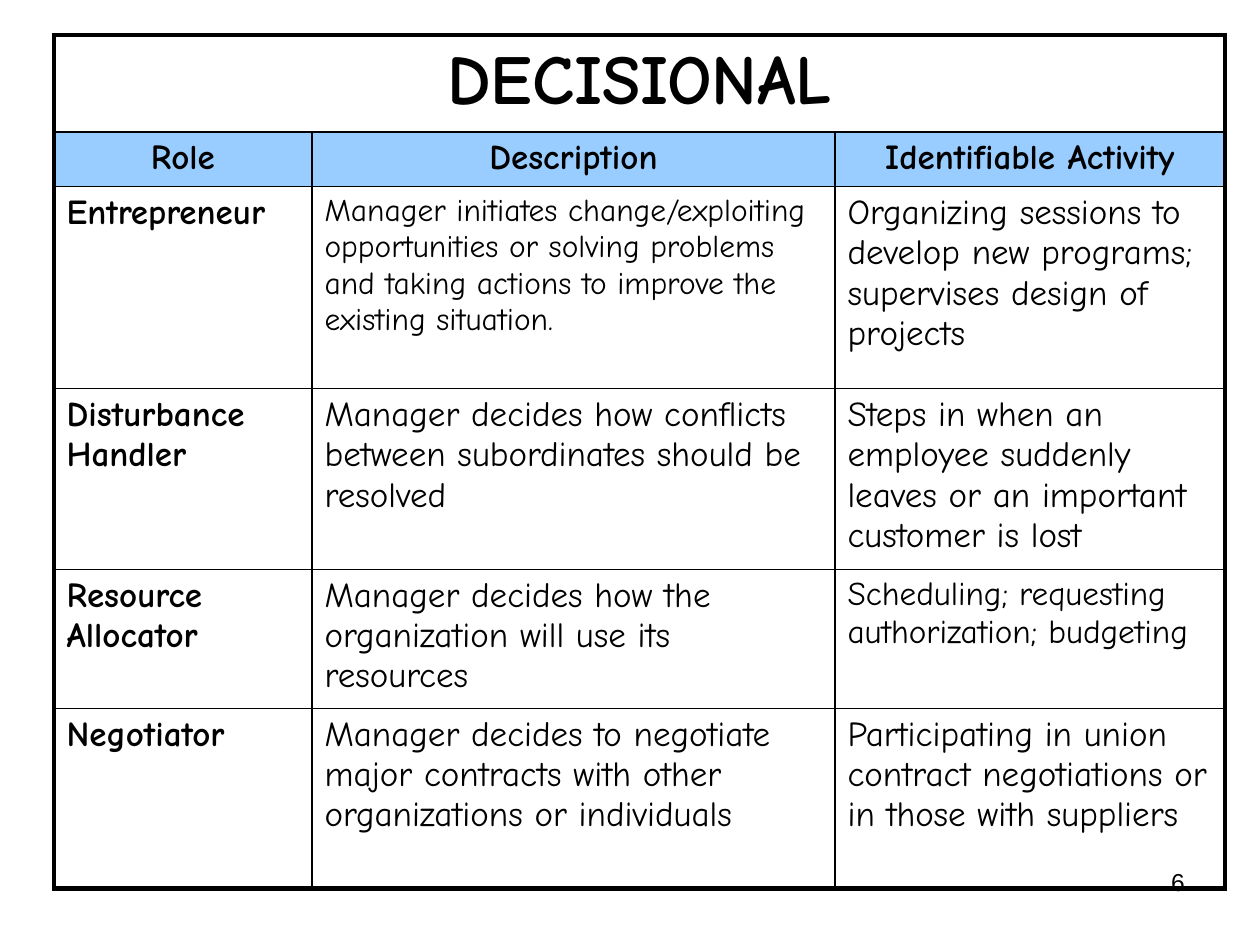
from lxml import etree
from pptx import Presentation
from pptx import util as u
from pptx.dml.color import RGBColor
from pptx.enum import text
from pptx.oxml import ns

BLACK = RGBColor(0, 0, 0)
HEADER_BLUE = RGBColor(0x99, 0xCC, 0xFF)
FONT = "Comic Neue"
COLUMN_WIDTHS = [258, 523, 390]
ROW_HEIGHTS = [97, 54, 202, 180, 139, 180]
ROWS = [
    ["DECISIONAL", "", ""],
    ["Role", "Description", "Identifiable Activity"],
    ["Entrepreneur",
     "Manager initiates change/exploiting opportunities or solving problems "
     "and taking actions to improve the existing situation.",
     "Organizing sessions to develop new programs; supervises design of projects"],
    ["Disturbance Handler",
     "Manager decides how conflicts between subordinates should be resolved",
     "Steps in when an employee suddenly leaves or an important customer is lost"],
    ["Resource Allocator",
     "Manager decides how the organization will use its resources",
     "Scheduling; requesting authorization; budgeting"],
    ["Negotiator",
     "Manager decides to negotiate major contracts with other organizations or individuals",
     "Participating in union contract negotiations or in those with suppliers"],
]
SPECIAL_SIZES = {(0, 0): 40, (2, 1): 18, (4, 2): 19}


def px(length):
    return u.Emu(round(length * 914400 / 126))


def add_border(cell, side, points):
    properties = cell._tc.get_or_add_tcPr()
    line = etree.SubElement(properties, ns.qn(f"a:ln{side}"), w=str(u.Pt(points)))
    fill = etree.SubElement(line, ns.qn("a:solidFill"))
    etree.SubElement(fill, ns.qn("a:srgbClr"), val=str(BLACK))


presentation = Presentation()
presentation.slide_width = px(1260)
presentation.slide_height = px(945)
slide = presentation.slides.add_slide(presentation.slide_layouts[6])

number_box = slide.shapes.add_textbox(px(903), px(861), px(294), px(66))
number_box.text_frame.word_wrap = True
paragraph = number_box.text_frame.paragraphs[0]
paragraph.text = "6"
paragraph.alignment = text.PP_ALIGN.RIGHT
paragraph.font.name = "Arial"
paragraph.font.size = u.Pt(14)
paragraph.font.color.rgb = BLACK

last_row, last_column = len(ROWS) - 1, len(COLUMN_WIDTHS) - 1
table = slide.shapes.add_table(
    len(ROWS), len(COLUMN_WIDTHS), px(54), px(35),
    px(sum(COLUMN_WIDTHS)), px(sum(ROW_HEIGHTS))).table
table.first_row = False
table.horz_banding = False
for column, width in zip(table.columns, COLUMN_WIDTHS):
    column.width = px(width)
for row, height in zip(table.rows, ROW_HEIGHTS):
    row.height = px(height)
table.cell(0, 0).merge(table.cell(0, last_column))

for row_index, labels in enumerate(ROWS):
    for column_index, label in enumerate(labels):
        cell = table.cell(row_index, column_index)
        outer_sides = {
            "L": column_index == 0,
            "R": column_index == last_column or row_index == 0,
            "T": row_index == 0,
            "B": row_index == last_row,
        }
        for side, is_outer in outer_sides.items():
            add_border(cell, side, 3 if is_outer else 1)
        if row_index == 1:
            cell.fill.solid()
            cell.fill.fore_color.rgb = HEADER_BLUE
        else:
            cell.fill.background()
        if cell.is_spanned:
            continue
        cell.text = label
        paragraph = cell.text_frame.paragraphs[0]
        paragraph.alignment = text.PP_ALIGN.CENTER if row_index < 2 else text.PP_ALIGN.LEFT
        paragraph.font.name = FONT
        paragraph.font.size = u.Pt(SPECIAL_SIZES.get((row_index, column_index), 20))
        paragraph.font.bold = row_index < 2 or column_index == 0
        paragraph.font.color.rgb = BLACK

presentation.save("out.pptx")
